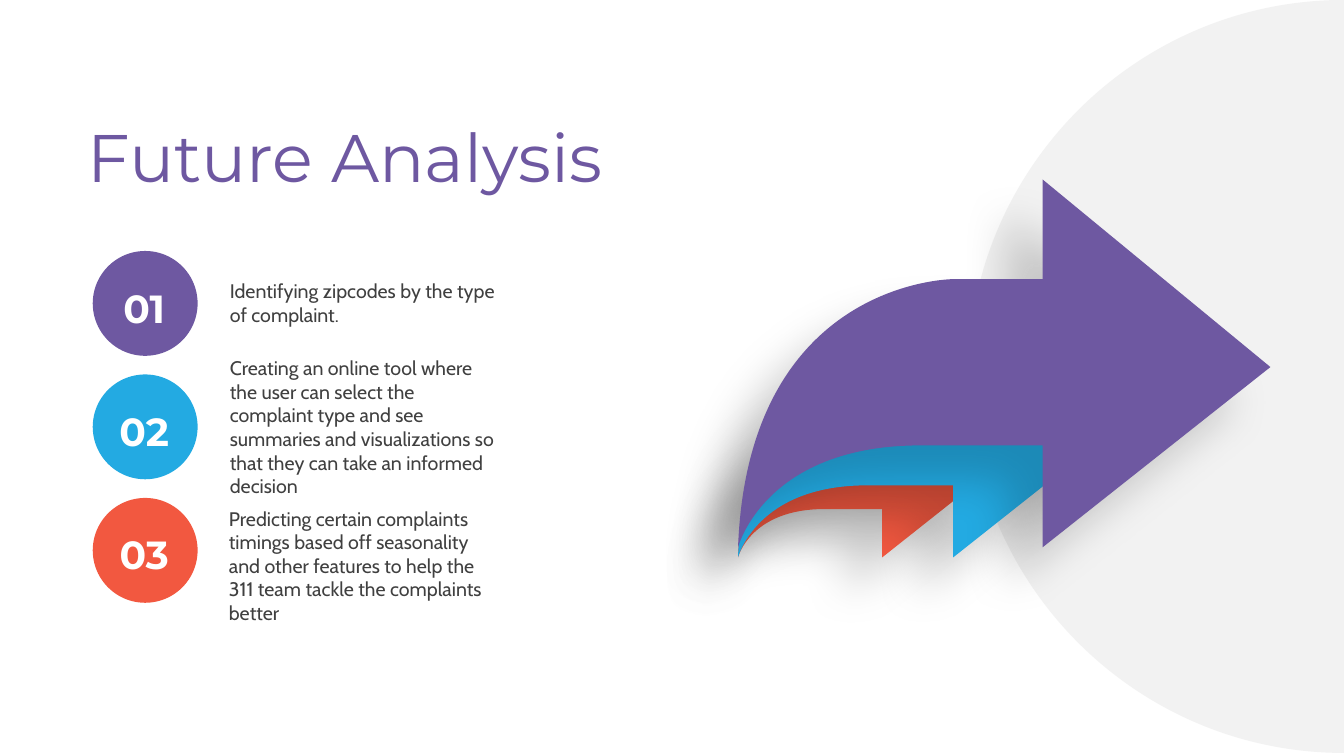
from lxml import etree
from pptx import Presentation
from pptx.dml.color import RGBColor
from pptx.enum.shapes import MSO_SHAPE
from pptx.enum.text import MSO_ANCHOR, MSO_AUTO_SIZE, PP_ALIGN
from pptx.oxml.ns import qn
from pptx.util import Inches, Pt

OVAL = MSO_SHAPE.OVAL
MIDDLE = MSO_ANCHOR.MIDDLE
GROW = MSO_AUTO_SIZE.SHAPE_TO_FIT_TEXT
LEFT, CENTER = PP_ALIGN.LEFT, PP_ALIGN.CENTER

PURPLE = RGBColor(0x6E, 0x58, 0xA1)
BLUE = RGBColor(0x23, 0xAA, 0xE2)
ORANGE = RGBColor(0xF2, 0x58, 0x40)
PALE = RGBColor(0xF2, 0xF2, 0xF2)
GRAY = RGBColor(0x40, 0x40, 0x40)
WHITE = RGBColor(0xFF, 0xFF, 0xFF)

TITLE = "Future Analysis"
ITEMS = [
    ("01", PURPLE, (2.28, 2.77, 2.66, 0.47),
     "Identifying zipcodes by the type of complaint."),
    ("02", BLUE, (2.28, 3.53, 2.66, 1.41),
     "Creating an online tool where the user can select the complaint type "
     "and see summaries and visualizations so that they can take an "
     "informed decision"),
    ("03", ORANGE, (2.27, 5.02, 2.66, 1.18),
     "Predicting certain complaints timings based off seasonality and other "
     "features to help the 311 team tackle the complaints better"),
]
ARROWS = [
    (ORANGE, (7.32, 3.8, 2.5, 1.73)),
    (BLUE, (7.32, 2.95, 3.73, 2.58)),
    (PURPLE, (7.32, 1.78, 5.28, 3.65)),
]

# Outlines in percent of their box: two numbers make a line, six a curve.
ARROW = [
    (57.2, 0), (100, 51), (57.2, 100), (57.2, 72.3), (55.9, 72.3),
    (52.3, 72.3, 45.8, 72.3, 34.3, 72.3),
    (4.9, 72.3, 0, 100, 0, 100),
    (1.9, 27.1, 40.5, 27.1, 40.5, 27.1),
    (57, 27.1), (57.2, 27.1),
]
DISC = [
    (100, 0), (100, 100),
    (44.8, 100, 0, 77.6, 0, 50),
    (0, 22.4, 44.8, 0, 100, 0),
]

TOP, LAST, SIZE = 2.49, 4.94, 1.04
PITCH = (LAST - TOP) / (len(ITEMS) - 1)

deck = Presentation()
deck.slide_width, deck.slide_height = Inches(13.33), Inches(7.5)
slide = deck.slides.add_slide(deck.slide_layouts[6])
shapes = slide.shapes


def paint(shape, color):
    shape.shadow.inherit = False
    shape.fill.solid()
    shape.fill.fore_color.rgb = color
    shape.line.fill.background()


def draw(outline, box, color):
    x, y, wide, high = box
    ends = [(Inches(x + wide * part[-2] / 100),
             Inches(y + high * part[-1] / 100)) for part in outline]
    pen = shapes.build_freeform(*ends[0])
    pen.add_line_segments(ends[1:], close=True)
    shape = pen.convert_to_shape()
    lines = list(shape._element.iter(qn("a:lnTo")))
    for part, line in zip(outline[1:], lines):
        if len(part) == 6:
            bend(line, part, wide, high)
    paint(shape, color)
    return shape


def bend(line, part, wide, high):
    line.tag = qn("a:cubicBezTo")
    for spot, i in enumerate((0, 2)):
        point = etree.Element(qn("a:pt"),
                              x=str(Inches(wide * part[i] / 100)),
                              y=str(Inches(high * part[i + 1] / 100)))
        line.insert(spot, point)


def shade(shape):
    glow = shape._element.spPr.find(qn("a:effectLst"))
    drop = etree.SubElement(glow, qn("a:outerShdw"), blurRad=str(Pt(32)),
                            dist=str(Pt(36)), dir="8100000", algn="tr",
                            rotWithShape="0")
    tint = etree.SubElement(drop, qn("a:srgbClr"), val="000000")
    etree.SubElement(tint, qn("a:alpha"), val="18000")


def write(text, box, size, color, font="Cabin", bold=False, align=LEFT,
          wrap=True, inset=True):
    frame = shapes.add_textbox(*map(Inches, box)).text_frame
    frame.word_wrap = wrap
    frame.auto_size = GROW
    frame.vertical_anchor = MIDDLE
    if not inset:
        frame.margin_left = frame.margin_right = 0
        frame.margin_top = frame.margin_bottom = 0
    line = frame.paragraphs[0]
    line.alignment = align
    run = line.add_run()
    run.text = text
    run.font.size = Pt(size)
    run.font.name = font
    run.font.bold = bold
    run.font.color.rgb = color


draw(DISC, (9.6, 0, 3.73, 7.47), PALE)
for color, box in ARROWS:
    shade(draw(ARROW, box, color))

for row, (label, color, box, text) in enumerate(ITEMS):
    y = TOP + row * PITCH
    dot = shapes.add_shape(OVAL, *map(Inches, (0.92, y, SIZE, SIZE)))
    paint(dot, color)
    write(text, box, 14, GRAY, inset=False)

for row, (label, *rest) in enumerate(ITEMS):
    write(label, (1.07, 2.77 + row * 1.22, 0.72, 0.57), 28, WHITE,
          font="Montserrat", bold=True, align=CENTER, wrap=False)

write(TITLE, (0.87, 1.14, 5.72, 0.81), 48, PURPLE, font="Montserrat",
      inset=False)

deck.save("out.pptx")
